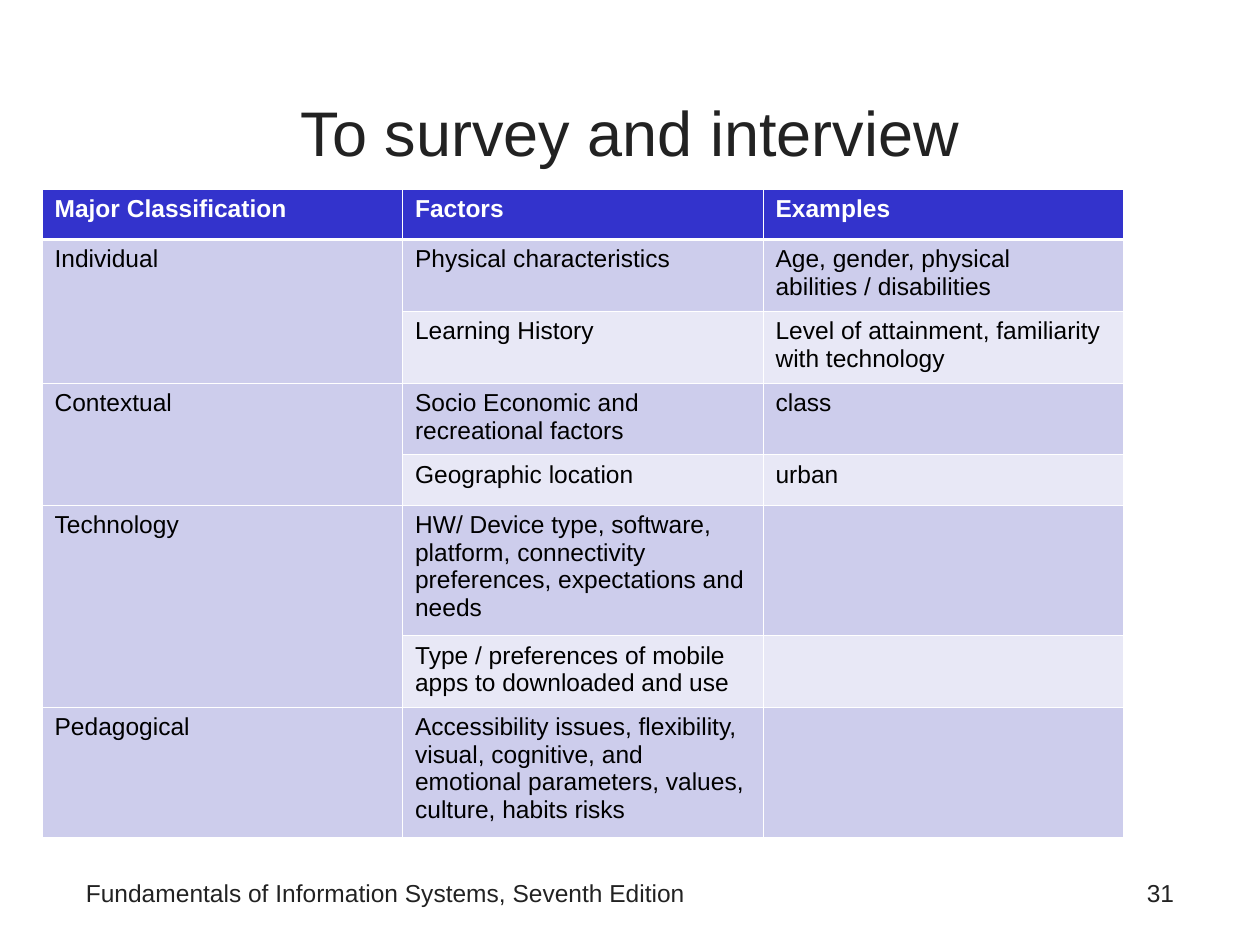
from lxml import etree
from pptx import Presentation
from pptx import util as u
from pptx.dml.color import RGBColor
from pptx.enum import text
from pptx.oxml.ns import qn

WHITE = RGBColor(0xFF, 0xFF, 0xFF)
BLACK = RGBColor(0x00, 0x00, 0x00)
CHARCOAL = RGBColor(0x22, 0x22, 0x22)
BLUE = RGBColor(0x33, 0x33, 0xCC)
LAVENDER = RGBColor(0xCD, 0xCD, 0xEC)
PALE = RGBColor(0xE8, 0xE8, 0xF6)

HEADER = ("Major Classification", "Factors", "Examples")
# Each classification with its (factor, examples) rows
GROUPS = (
    ("Individual", (
        ("Physical characteristics", "Age, gender, physical abilities / disabilities"),
        ("Learning History", "Level of attainment, familiarity with technology"))),
    ("Contextual", (
        ("Socio Economic and recreational factors", "class"),
        ("Geographic location", "urban"))),
    ("Technology", (
        ("HW/ Device type, software, platform, connectivity preferences, "
         "expectations and needs", ""),
        ("Type / preferences of mobile apps to downloaded and use", ""))),
    ("Pedagogical", (
        ("Accessibility issues, flexibility, visual, cognitive, and "
         "emotional parameters, values, culture, habits risks", ""),)),
)
ROW_HEIGHTS = (0.4, 0.57, 0.57, 0.57, 0.4, 1.03, 0.57, 1.03)


class SlideBuilder:
    """Places styled elements on a grid of 120 columns by 90 rows."""

    FONT = "Arial"
    BODY_SIZE = 14
    TITLE_SIZE = 36
    UNIT = u.Inches(10) // 120

    def __init__(self, presentation):
        self.slide = presentation.slides.add_slide(presentation.slide_layouts[5])

    def box(self, *cells):
        return [cell * self.UNIT for cell in cells]

    def set_text(self, frame, content, size, color, bold=False, align=text.PP_ALIGN.LEFT):
        frame.text = content
        frame.word_wrap = True
        paragraph = frame.paragraphs[0]
        paragraph.alignment = align
        for run in paragraph.runs:
            run.font.name, run.font.size = self.FONT, u.Pt(size)
            run.font.bold, run.font.color.rgb = bold, color

    def title(self, content, *cells):
        shape = self.slide.shapes.title
        shape.left, shape.top, shape.width, shape.height = self.box(*cells)
        self.set_text(shape.text_frame, content, self.TITLE_SIZE, CHARCOAL,
                      align=text.PP_ALIGN.CENTER)
        shape.text_frame.vertical_anchor = text.MSO_ANCHOR.MIDDLE

    def label(self, content, *cells, align=text.PP_ALIGN.LEFT):
        shape = self.slide.shapes.add_textbox(*self.box(*cells))
        self.set_text(shape.text_frame, content, self.BODY_SIZE, CHARCOAL, align=align)

    def border(self, cell, side, width):
        line = etree.SubElement(cell._tc.get_or_add_tcPr(), qn(f"a:ln{side}"),
                                w=str(u.Pt(width)))
        fill = etree.SubElement(line, qn("a:solidFill"))
        etree.SubElement(fill, qn("a:srgbClr"), val=str(WHITE))

    def cell(self, cell, content, row):
        heavy_side = {0: "B", 1: "T"}.get(row)
        for side in "LRTB":
            self.border(cell, side, 1.5 if side == heavy_side else 0.5)
        cell.fill.solid()
        cell.fill.fore_color.rgb = BLUE if row == 0 else LAVENDER if row % 2 else PALE
        self.set_text(cell.text_frame, content, self.BODY_SIZE,
                      BLACK if row else WHITE, bold=row == 0)

    def table(self, header, groups, heights, *cells):
        rows = [header]
        spans = []
        for name, factors in groups:
            spans.append((len(rows), len(rows) + len(factors) - 1))
            for index, factor in enumerate(factors):
                rows.append(("" if index else name, *factor))
        left, top, width = self.box(*cells)
        table = self.slide.shapes.add_table(
            len(rows), len(header), left, top, width, u.Inches(sum(heights))).table
        for row, (values, height) in enumerate(zip(rows, heights)):
            table.rows[row].height = u.Inches(height)
            for column, value in enumerate(values):
                self.cell(table.cell(row, column), value, row)
        # One classification cell spans all of its factors
        for first, last in spans:
            if last > first:
                table.cell(first, 0).merge(table.cell(last, 0))


def main():
    presentation = Presentation()
    presentation.slide_width, presentation.slide_height = u.Inches(10), u.Inches(7.5)
    builder = SlideBuilder(presentation)

    # Title
    builder.title("To survey and interview", 7, 5, 106, 15)

    # Footer and page number
    builder.label("Fundamentals of Information Systems, Seventh Edition", 7, 83, 77, 5)
    builder.label("31", 86, 83, 27, 5, align=text.PP_ALIGN.RIGHT)

    # Classification table
    builder.table(HEADER, GROUPS, ROW_HEIGHTS, 4, 18, 103)

    presentation.save("out.pptx")


if __name__ == "__main__":
    main()
